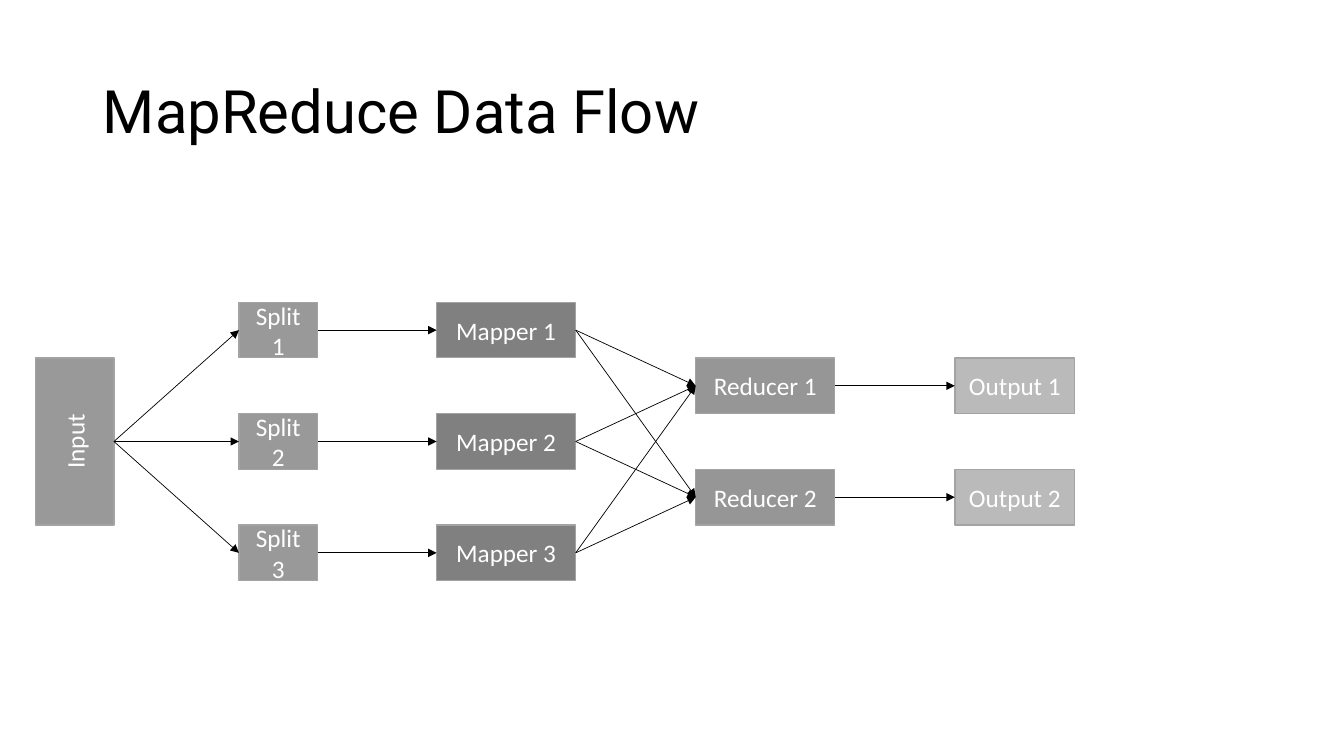
import pptx
import pptx.dml.color
import pptx.enum.shapes
import pptx.enum.text
import pptx.oxml.ns
import pptx.util
from lxml import etree

Inches, Pt = pptx.util.Inches, pptx.util.Pt
RGBColor = pptx.dml.color.RGBColor
PP_ALIGN = pptx.enum.text.PP_ALIGN
MSO_ANCHOR = pptx.enum.text.MSO_ANCHOR
qn = pptx.oxml.ns.qn

BLACK = RGBColor(0x00, 0x00, 0x00)
WHITE = RGBColor(0xFF, 0xFF, 0xFF)
BORDER = RGBColor(0xA3, 0xA3, 0xA3)
SPLIT_GREY = RGBColor(0x99, 0x99, 0x99)
MAPPER_GREY = RGBColor(0x80, 0x80, 0x80)
REDUCER_GREY = RGBColor(0x96, 0x96, 0x96)
OUTPUT_GREY = RGBColor(0xBA, 0xBA, 0xBA)

BOX_H = 0.55
ROW_STEP = 1.105
TOP_OF_THREE = 3.0
TOP_OF_TWO = TOP_OF_THREE + ROW_STEP / 2
RIGHT, LEFT = 3, 1


def add_box(text, x, y, w, h, fill):
    sp = slide.shapes.add_shape(pptx.enum.shapes.MSO_SHAPE.RECTANGLE,
                                Inches(x), Inches(y), Inches(w), Inches(h))
    sp.shadow.inherit = False
    sp.fill.solid()
    sp.fill.fore_color.rgb = fill
    sp.line.color.rgb = BORDER
    sp.line.width = Pt(1)
    tf = sp.text_frame
    tf.text = text
    tf.word_wrap = True
    tf.vertical_anchor = MSO_ANCHOR.MIDDLE
    p = tf.paragraphs[0]
    p.alignment = PP_ALIGN.CENTER
    font = p.runs[0].font
    font.name, font.size, font.color.rgb = "Calibri", Pt(18), WHITE
    return sp


def add_arrow(source, target):
    """Join the right side of source to the left side of target."""
    c = slide.shapes.add_connector(pptx.enum.shapes.MSO_CONNECTOR.STRAIGHT, 0, 0, 0, 0)
    c.begin_connect(source, RIGHT)
    c.end_connect(target, LEFT)
    c.line.color.rgb = BLACK
    c.line.width = Pt(0.5)
    etree.SubElement(c.line._get_or_add_ln(), qn("a:tailEnd"), type="triangle")
    etree.SubElement(c.element.spPr, qn("a:effectLst"))


prs = pptx.Presentation()
prs.slide_width, prs.slide_height = Inches(13.33), Inches(7.5)
slide = prs.slides.add_slide(prs.slide_layouts[5])

# Title
title = slide.shapes.title
title.left, title.top = Inches(0.92), Inches(0.61)
title.width, title.height = Inches(11.5), Inches(0.89)
tf = title.text_frame
tf.text = "MapReduce Data Flow"
tf.auto_size = pptx.enum.text.MSO_AUTO_SIZE.NONE
tf.vertical_anchor = MSO_ANCHOR.BOTTOM
p = tf.paragraphs[0]
p.alignment = PP_ALIGN.LEFT
p.line_spacing = 0.9
font = p.runs[0].font
font.name, font.size, font.color.rgb = "Roboto", Pt(42.7), BLACK

# Boxes, stage by stage
input_box = add_box("Input", 0.35, TOP_OF_TWO, 0.78, ROW_STEP + BOX_H, SPLIT_GREY)
input_box.element.txBody.bodyPr.set("vert", "vert270")

stages = {}
for name, count, x, top, w, fill in [
    ("Split", 3, 2.37, TOP_OF_THREE, 0.78, SPLIT_GREY),
    ("Mapper", 3, 4.33, TOP_OF_THREE, 1.38, MAPPER_GREY),
    ("Reducer", 2, 6.9, TOP_OF_TWO, 1.38, REDUCER_GREY),
    ("Output", 2, 9.47, TOP_OF_TWO, 1.19, OUTPUT_GREY),
]:
    stages[name] = [add_box(f"{name} {i + 1}", x, top + i * ROW_STEP, w, BOX_H, fill)
                    for i in range(count)]

# Arrows
for split, mapper in zip(stages["Split"], stages["Mapper"]):
    add_arrow(input_box, split)
    add_arrow(split, mapper)
    for reducer in stages["Reducer"]:
        add_arrow(mapper, reducer)
for reducer, output in zip(stages["Reducer"], stages["Output"]):
    add_arrow(reducer, output)

prs.save("out.pptx")
